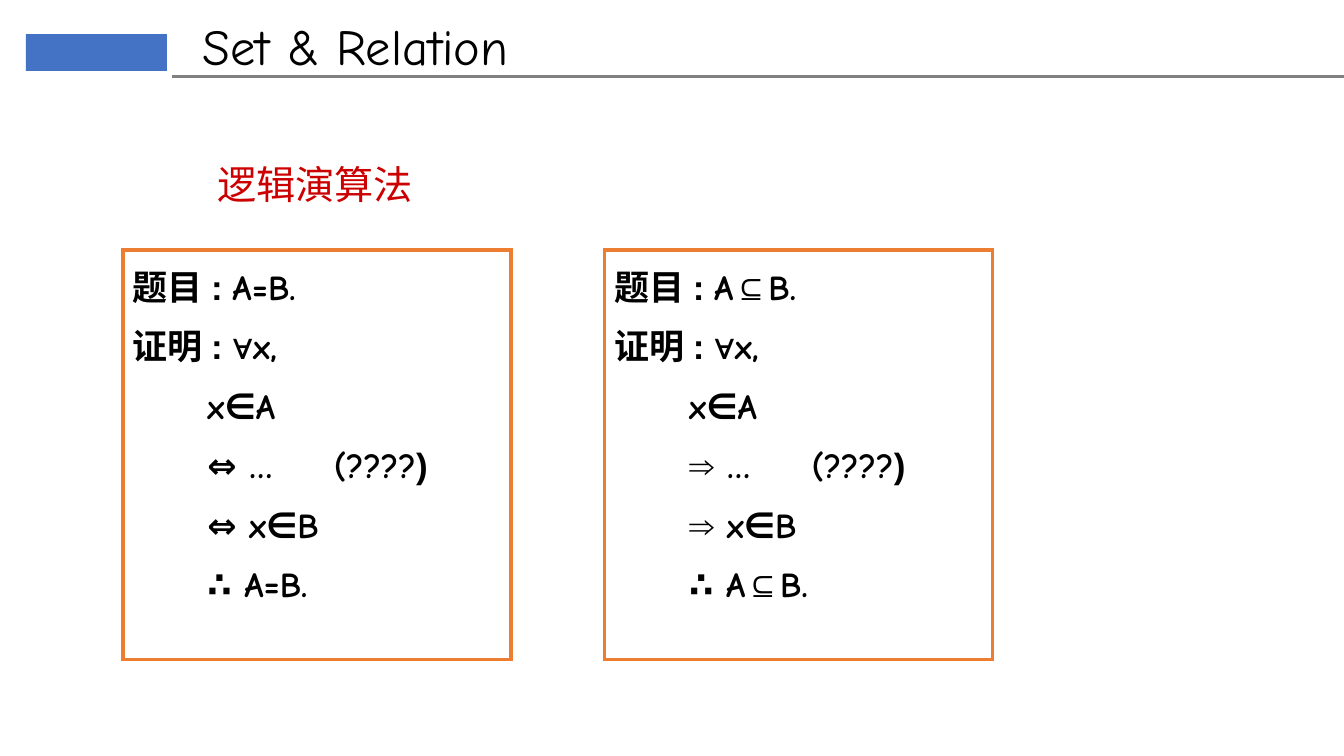
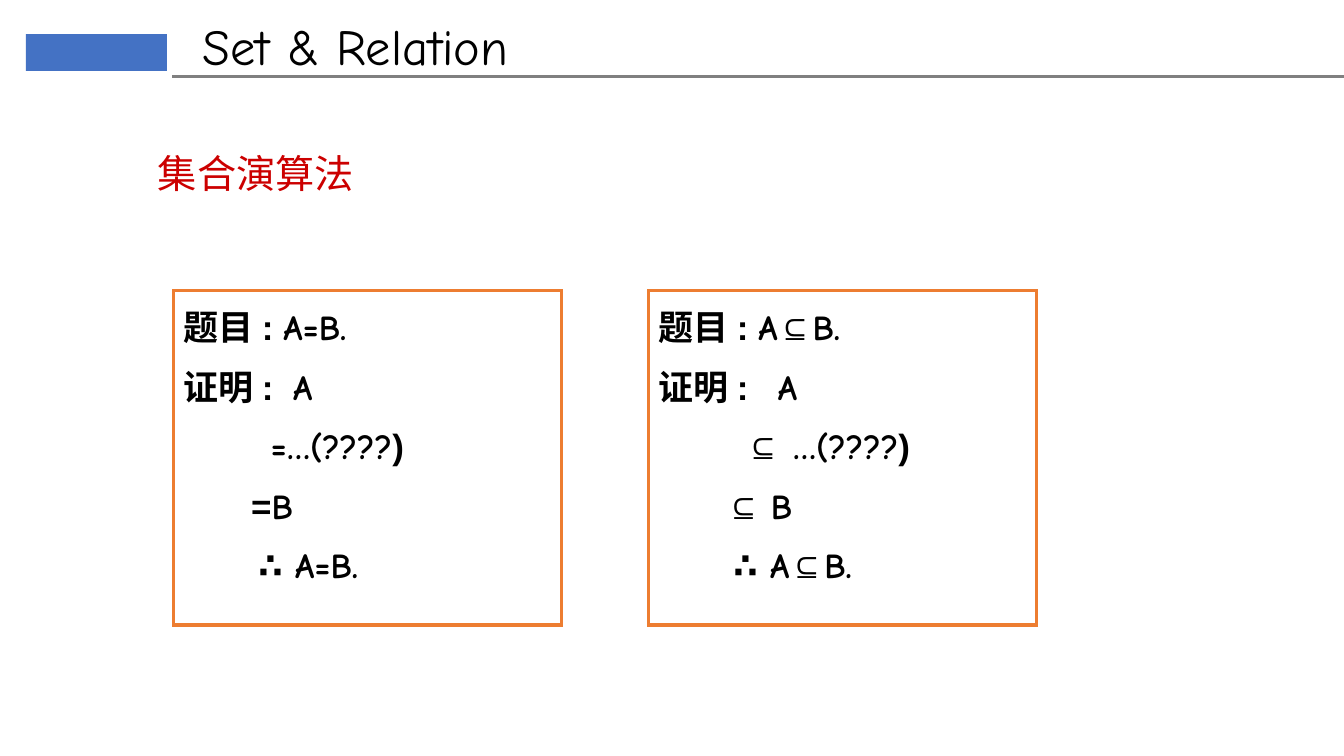
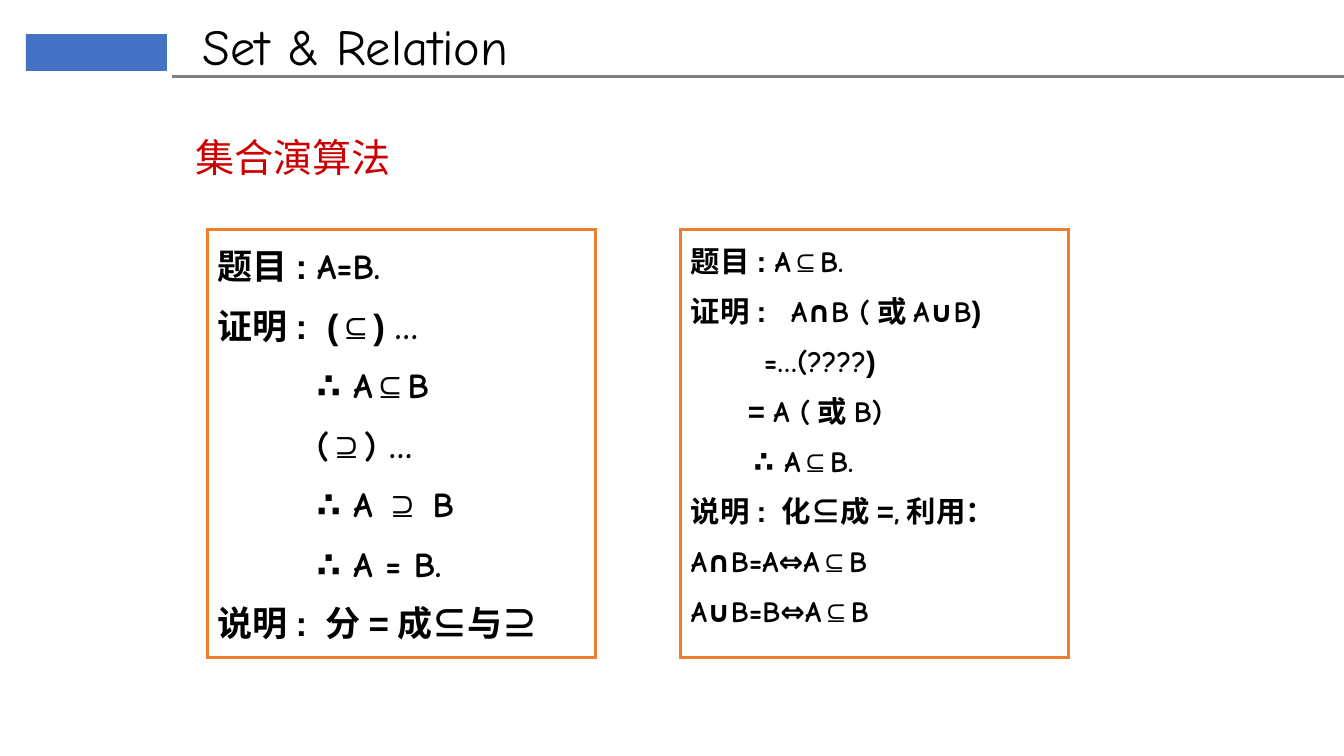
from itertools import cycle

from lxml import etree
from pptx import Presentation
from pptx import util as u
from pptx.dml.color import RGBColor
from pptx.enum import shapes, text
from pptx.oxml.ns import qn

CJK, ARIAL, COMIC = "Noto Sans CJK SC", "Arial", "Comic Neue"
BLACK, RED, BLUE, ORANGE, GREY = "000000", "CC0000", "4472C4", "ED7D31", "808080"


def rgb(value):
    return RGBColor.from_string(value)


def add_run(p, content, font=COMIC, size=25, color=BLACK, bold=False, spacing=0):
    r = p.add_run()
    r.text = content
    r.font.size, r.font.bold, r.font.name = u.Pt(size), bold, font
    r.font.color.rgb = rgb(color)
    rPr = r._r.get_or_add_rPr()
    etree.SubElement(rPr, qn("a:ea"), typeface=CJK)
    if spacing:
        rPr.set("spc", str(round(spacing * 100)))


class Deck:
    """Holds the shared style and the slide being built."""

    def __init__(self):
        self.prs = Presentation()
        self.prs.slide_width, self.prs.slide_height = u.Cm(33.87), u.Cm(19.05)

    def slide(self):
        self.s = self.prs.slides.add_slide(self.prs.slide_layouts[6])
        badge = self.box(0.65, 0.86, 3.56, 0.93)
        badge.fill.solid()
        badge.fill.fore_color.rgb = rgb(BLUE)
        badge.line.fill.background()
        self.rule(4.34, 1.93, 33.87)
        self.label("Set & Relation", 4.86, 0.25, 16, 1.8, size=36)

    def box(self, x, y, w, h):
        sp = self.s.shapes.add_shape(
            shapes.MSO_SHAPE.RECTANGLE, u.Cm(x), u.Cm(y), u.Cm(w), u.Cm(h))
        sp.shadow.inherit = False
        return sp

    def label(self, content, x, y, w, h, **style):
        tf = self.s.shapes.add_textbox(u.Cm(x), u.Cm(y), u.Cm(w), u.Cm(h)).text_frame
        tf.word_wrap = True
        add_run(tf.paragraphs[0], content, **style)
        return tf.paragraphs[0]

    def heading(self, content, x, y):
        p = self.label(content, x, y, 22.86, 1.6, font=CJK, size=28, color=RED)
        p.line_spacing, p.space_before = 0.9, u.Pt(10)

    def rule(self, x, y, end):
        line = self.s.shapes.add_connector(
            shapes.MSO_CONNECTOR.STRAIGHT, u.Cm(x), u.Cm(y), u.Cm(end), u.Cm(y))
        line.line.color.rgb, line.line.width = rgb(GREY), u.Pt(2)
        etree.SubElement(line._element.spPr, qn("a:effectLst"))

    def proof(self, x, y, h, lines, size=25):
        sp = self.box(x, y, 9.78, h)
        sp.fill.background()
        sp.line.color.rgb, sp.line.width = rgb(ORANGE), u.Pt(2.25)
        etree.SubElement(sp.line._get_or_add_ln(), qn("a:miter"), lim="800000")
        tf = sp.text_frame
        tf.word_wrap, tf.vertical_anchor = True, text.MSO_ANCHOR.TOP
        for i, (indent, content, *gap) in enumerate(lines):
            p = tf.add_paragraph() if i else tf.paragraphs[0]
            p.alignment = text.PP_ALIGN.LEFT
            p.line_spacing, p.space_before = 1.25, u.Pt(size * 0.2)
            pPr = p._p.get_or_add_pPr()
            pPr.set("marL", str(u.Cm(indent)))
            pPr.set("indent", "0")
            for part, font in zip(content.split("|"), cycle((ARIAL, COMIC))):
                if part:
                    add_run(p, part, font, size, bold=True,
                            spacing=sum(gap) if part == " " else 0)


def main():
    equal, subset = "题目: |A=B.", "题目: |A|⊆|B."
    so_equal, so_subset = "|∴ A=B.", "|∴ A|⊆|B."
    deck = Deck()

    deck.slide()
    deck.heading("逻辑演算法", 5.22, 4.04)
    for x, goal, arrow, end in ((3.1, equal, "|⇔ ", so_equal),
                                (15.24, subset, "⇒| ", so_subset)):
        deck.proof(x, 6.3, 10.31, [
            (0, goal), (0, "证明: ∀|x,"), (1.88, "|x∈A"),
            (1.88, arrow + "…|| ||(????|)", 35), (1.88, arrow + "x∈B"), (1.88, end)])

    deck.slide()
    deck.heading("集合演算法", 3.73, 3.78)
    for x, goal, step, last, end, gap in (
            (4.38, equal, "|=…(????|)", "=|B", so_equal, 7),
            (16.35, subset, "⊆| …(????|)", "⊆ |B", so_subset, 14)):
        deck.proof(x, 7.32, 8.43, [
            (0, goal), (0, "证明:|| |A", gap), (2.19, step), (1.7, last), (1.88, end)])

    deck.slide()
    deck.heading("集合演算法", 4.67, 3.36)
    deck.proof(5.23, 5.78, 10.8, [
        (0, equal), (0, "证明:|| ||(⊆) |…", 7), (2.5, "|∴ A|⊆|B"), (2.5, "|(|⊇|) …"),
        (2.5, "|∴ A |⊇| B"), (2.5, "|∴ A = B."), (0, "说明: 分=成⊆与⊇")])
    deck.proof(17.16, 5.78, 10.8, [
        (0, subset), (0, "证明:|| |A∩B (|或|A∪B|)", 11.7), (1.84, "|=…(????|)"),
        (1.44, "= |A (|或|B)"), (1.58, so_subset), (0, "说明: 化⊆成=|,|利用："),
        (0, "|A∩B=A⇔A|⊆|B"), (0, "|A∪B=B⇔A|⊆|B")], size=21)

    deck.prs.save("out.pptx")


if __name__ == "__main__":
    main()
